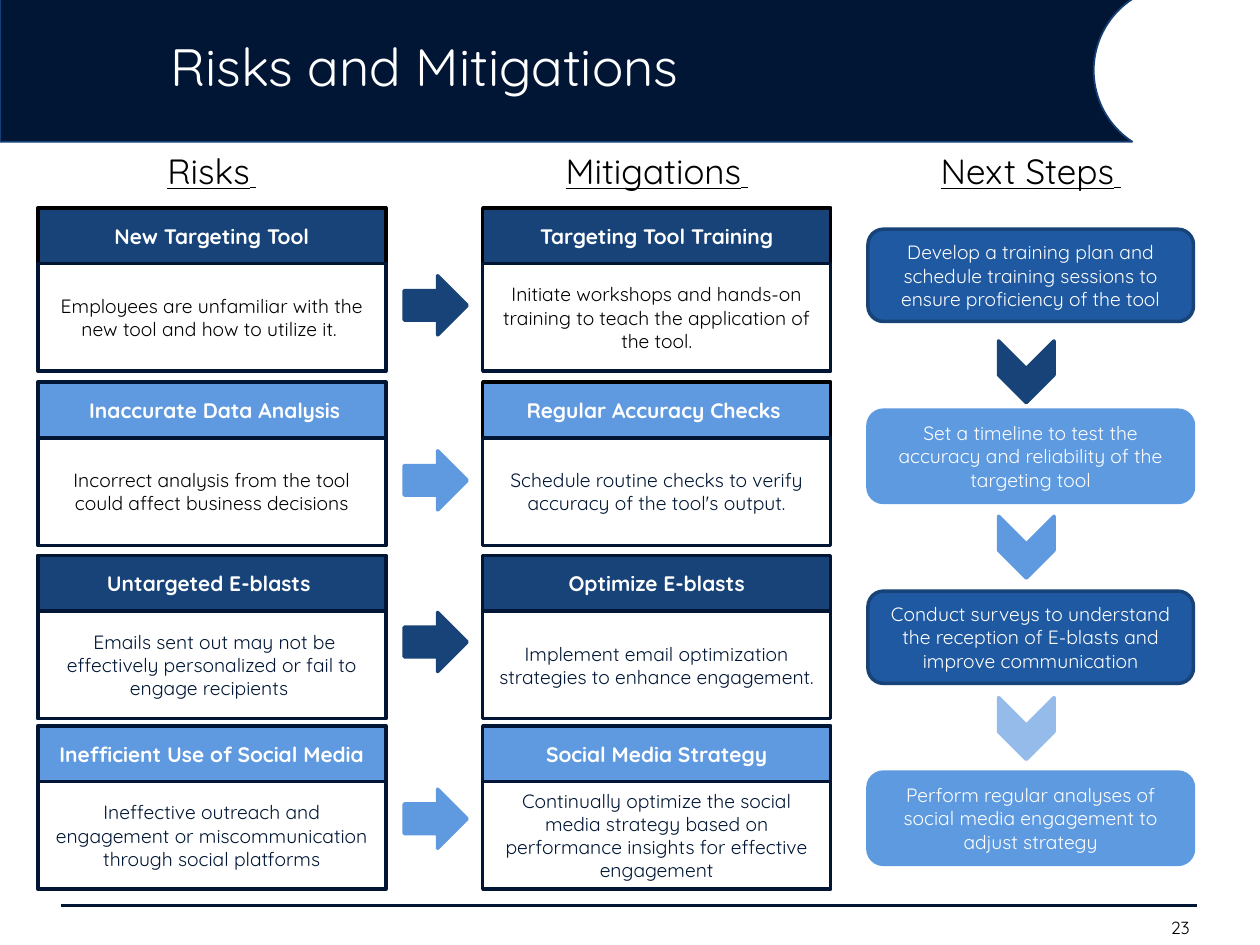
from dataclasses import dataclass
from math import asin, cos, pi, sin

from lxml.etree import SubElement
from pptx import Presentation
from pptx.dml.color import RGBColor
from pptx.enum.shapes import MSO_CONNECTOR, MSO_SHAPE as Shape
from pptx.enum.text import MSO_ANCHOR as Anchor, MSO_AUTO_SIZE as AutoSize, PP_ALIGN as Align
from pptx.oxml.ns import qn
from pptx.util import Pt


@dataclass(frozen=True)
class Theme:
    font: str = "Quicksand"
    white: str = "FFFFFF"
    black: str = "000000"
    navy: str = "011634"
    banner_line: str = "164075"
    dark: str = "174379"
    light: str = "5F99E0"
    pale: str = "94BBEA"
    step_dark: str = "1F59A1"
    step_light: str = "5E9AE0"
    title_size: float = 30
    heading_size: float = 20
    space_size: float = 14
    label_size: float = 12
    body_size: float = 11
    number_size: float = 10


def apply(target, values):
    for name, value in values.items():
        setattr(target, name, value)


class SlideBuilder:
    """Holds the theme and the current slide; all lengths are in points."""

    def __init__(self, slide, theme):
        self.slide = slide
        self.theme = theme

    def paint(self, shape, fill, line, width=2):
        shape.shadow.inherit = False
        shape.fill.solid()
        shape.fill.fore_color.rgb = RGBColor.from_string(fill)
        shape.line.color.rgb = RGBColor.from_string(line)
        shape.line.width = Pt(width)

    def set_text(self, shape, runs, color, align=Align.CENTER, anchor=Anchor.MIDDLE,
                 auto_size=AutoSize.NONE, **font_values):
        """Fill one paragraph with (text, size) runs."""
        frame = shape.text_frame
        apply(frame, {"word_wrap": True, "vertical_anchor": anchor, "auto_size": auto_size})
        paragraph = frame.paragraphs[0]
        paragraph.alignment = align
        for text, size in runs:
            run = paragraph.add_run()
            run.text = text
            apply(run.font, {"name": self.theme.font, "size": Pt(size), **font_values})
            run.font.color.rgb = RGBColor.from_string(color)
        return paragraph

    def shape(self, kind, box, fill, line):
        shape = self.slide.shapes.add_shape(kind, *map(Pt, box))
        self.paint(shape, fill, line)
        return shape

    def box(self, kind, box, fill, line, text, size, color, **font_values):
        shape = self.shape(kind, box, fill, line)
        self.set_text(shape, [(text, size)], color, **font_values)

    def text(self, box, runs, color, **values):
        shape = self.slide.shapes.add_textbox(*map(Pt, box))
        self.set_text(shape, runs, color, **values)

    def heading(self, left, width, text):
        theme = self.theme
        self.text((left, 82.1, width, 31.5),
                  [(text, theme.heading_size), (" ", theme.space_size)], theme.black,
                  anchor=Anchor.TOP, auto_size=AutoSize.SHAPE_TO_FIT_TEXT, underline=True)

    def banner(self, top, bottom, right, notch):
        """Band whose right end is cut by a circular notch."""
        half = (bottom - top) / 2
        radius = (half ** 2 + notch ** 2) / (2 * notch)
        center_x, center_y = right - notch + radius, (top + bottom) / 2
        reach = asin(half / radius)
        count = 40
        angles = [pi + reach - 2 * reach * step / count for step in range(count + 1)]
        arc = [(Pt(center_x + radius * cos(angle)), Pt(center_y + radius * sin(angle)))
               for angle in angles]
        builder = self.slide.shapes.build_freeform(Pt(0), Pt(top))
        builder.add_line_segments(arc + [(Pt(0), Pt(bottom))], close=True)
        self.paint(builder.convert_to_shape(), self.theme.navy, self.theme.banner_line, 1)

    def rule(self, left, right, top):
        line = self.slide.shapes.add_connector(
            MSO_CONNECTOR.STRAIGHT, Pt(left), Pt(top), Pt(right), Pt(top))
        line.line.color.rgb = RGBColor.from_string(self.theme.navy)
        line.line.width = Pt(1.5)
        SubElement(line.element.spPr, qn("a:effectLst"))

    def title(self, box, text):
        title = self.slide.shapes.title
        apply(title, dict(zip(("left", "top", "width", "height"), map(Pt, box))))
        paragraph = self.set_text(title, [(text, self.theme.title_size)],
                                  self.theme.white, align=Align.LEFT)
        paragraph.line_spacing = 0.9
        title.element.getparent().append(title.element)  # in front of the banner


def main():
    theme = Theme()
    presentation = Presentation()
    apply(presentation, {"slide_width": Pt(720), "slide_height": Pt(540)})
    slide = presentation.slides.add_slide(presentation.slide_layouts[5])
    builder = SlideBuilder(slide, theme)

    # Banner and footer rule
    builder.banner(top=-0.5, bottom=81, right=647, notch=22)
    builder.rule(34.8, 684, 517.5)

    # Risk and mitigation cards: label, label line, body, body colour
    black, navy = theme.black, theme.navy
    columns = [
        ("Risks", 21.6, [
            ("New Targeting Tool", black,
             "Employees are unfamiliar with the new tool and how to utilize it. ", black),
            (" Inaccurate Data Analysis", navy,
             "Incorrect analysis from the tool could affect business decisions", black),
            ("Untargeted E-blasts ", navy,
             " Emails sent out may not be effectively personalized or fail to engage recipients ",
             navy),
            ("Inefficient Use of Social Media", navy,
             "Ineffective outreach and engagement or miscommunication through social platforms",
             navy),
        ]),
        ("Mitigations", 275.8, [
            ("Targeting Tool Training", black,
             "Initiate workshops and hands-on training to teach the application of the tool.",
             black),
            ("Regular Accuracy Checks ", black,
             "Schedule routine checks to verify accuracy of the tool's output.", navy),
            ("Optimize E-blasts", navy,
             "Implement email optimization strategies to enhance engagement.", navy),
            ("Social Media Strategy", navy,
             "Continually optimize the social media strategy based on performance insights "
             "for effective engagement", navy),
        ]),
    ]
    row_tops = [118.8, 218.4, 317.4, 414.8]
    row_fills = [theme.dark, theme.light] * 2
    card_width, label_height, body_height = 198.9, 31.8, 61.5
    for heading, left, cards in columns:
        builder.heading(left, card_width, heading)
        for top, fill, (label, line, body, color) in zip(row_tops, row_fills, cards):
            builder.box(Shape.RECTANGLE, (left, top, card_width, label_height), fill, line,
                        label, theme.label_size, theme.white, bold=True)
            builder.box(Shape.RECTANGLE, (left, top + label_height, card_width, body_height),
                        theme.white, navy, body, theme.body_size, color)

    # Next steps
    step_left, step_width = 496, 186
    builder.heading(step_left, step_width, "Next Steps")
    steps = [
        "Develop a training plan and schedule training sessions to ensure proficiency of the tool",
        "Set a timeline to test the accuracy and reliability of the targeting tool",
        "Conduct surveys to understand the reception of E-blasts and improve communication",
        "Perform regular analyses of social media engagement to adjust strategy",
    ]
    step_styles = [(theme.step_dark, theme.dark), (theme.step_light, theme.step_light)] * 2
    for index, (text, (fill, line)) in enumerate(zip(steps, step_styles)):
        builder.box(Shape.ROUNDED_RECTANGLE, (step_left, 131 + 103.4 * index, step_width, 52.7),
                    fill, line, text, theme.body_size, theme.white)

    # Arrows from risk to mitigation
    for top, color in zip([157.6, 257.6, 350, 451], row_fills):
        builder.shape(Shape.RIGHT_ARROW, (231, top, 36, 33.8), color, color)

    # Chevrons between steps
    for top, color in zip([196.6, 296.8, 400.4], [theme.dark, theme.light, theme.pale]):
        builder.shape(Shape.CHEVRON, (568.8, top, 35.3, 31.7), color, color).rotation = 90

    # Page number and title
    builder.text((620, 520.6, 67, 19.4), [("23", theme.number_size)], black, align=Align.RIGHT)
    builder.title((90, 13, 540, 53.3), "Risks and Mitigations")

    presentation.save("out.pptx")


if __name__ == "__main__":
    main()
